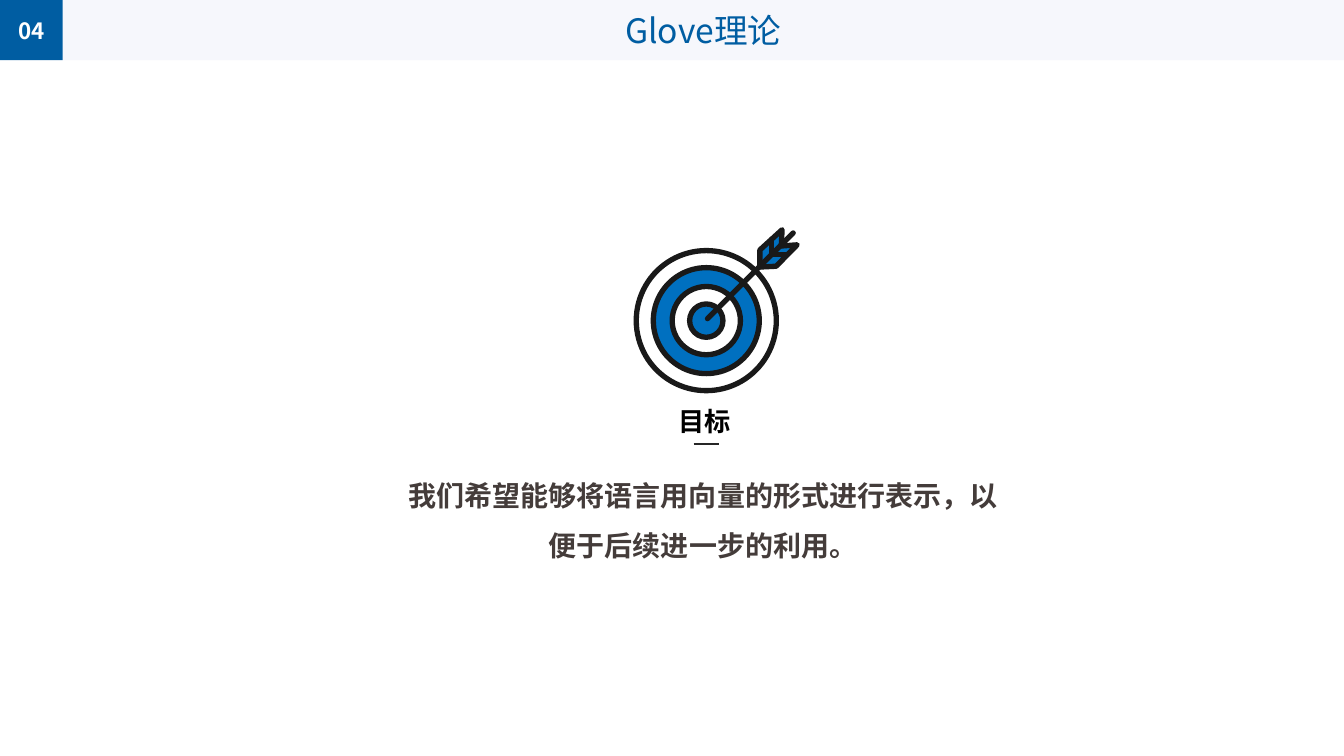
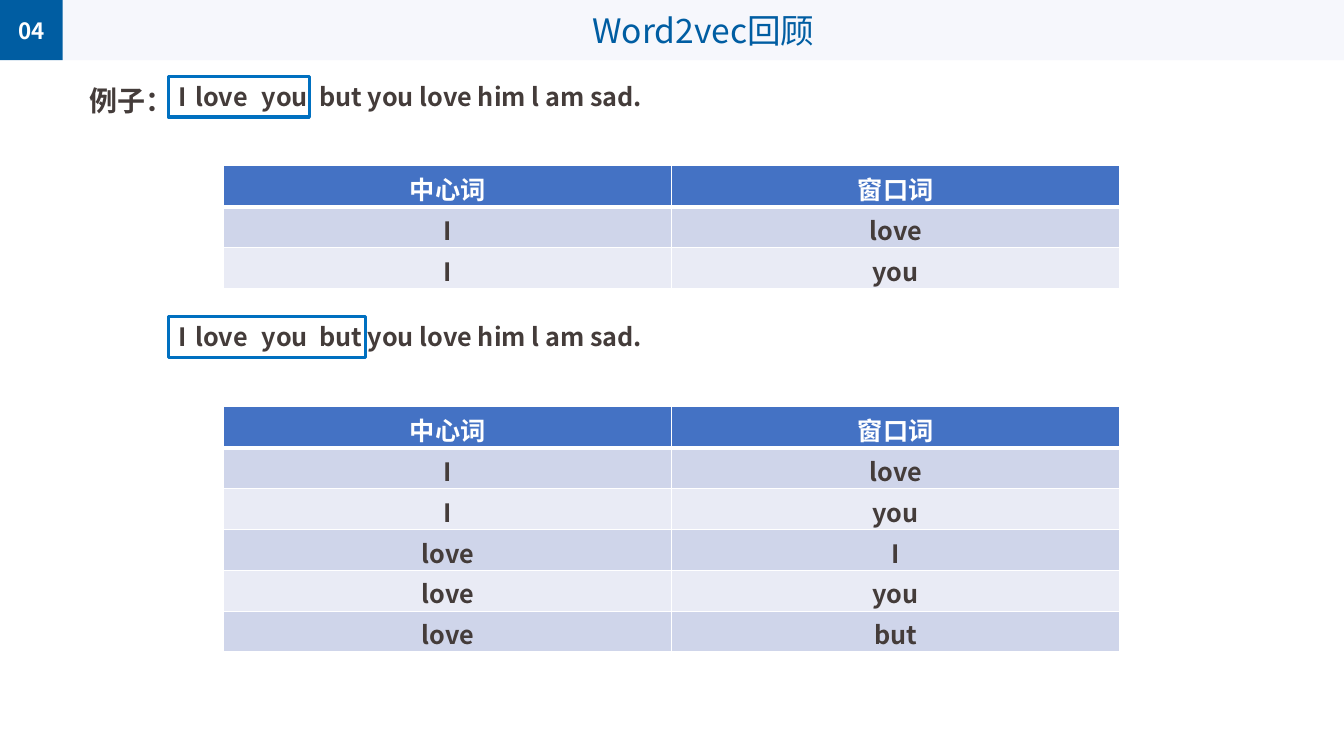
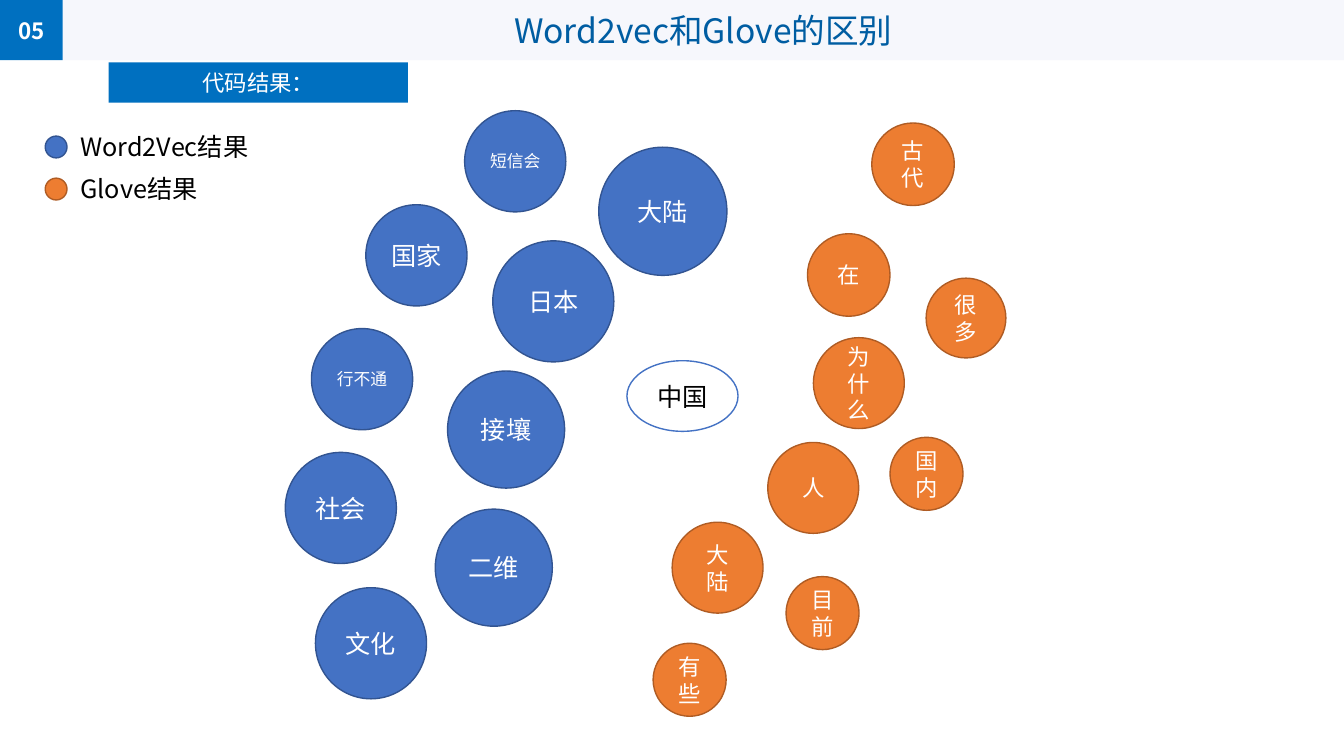
"""Build three slides on GloVe and Word2vec."""
from lxml.etree import SubElement
from pptx import Presentation
from pptx.dml.color import RGBColor
from pptx.enum.shapes import MSO_CONNECTOR, MSO_SHAPE
from pptx.enum.text import MSO_ANCHOR, MSO_AUTO_SIZE, PP_ALIGN
from pptx.oxml import parse_xml
from pptx.oxml.ns import nsdecls, qn
from pptx.util import Cm, Pt

FONT = "Noto Sans CJK SC"
WIDTH, HEIGHT = 33.87, 19.05
BADGE_W, BAND_H = 1.58, 1.52
WHITE, BLACK, INK, TEXT = "FFFFFF", "000000", "191919", "443C3A"
NAVY, BLUE, PALE = "005DA2", "0070C0", "F6F7FC"
BLUE_DOT, ORANGE_DOT = ("4472C4", "325491"), ("ED7D31", "AF5C24")
ROW_FILLS = ("CFD5EA", "E9EBF5")
STROKE = 3.8


def rgb(color):
    return RGBColor.from_string(color)


def set_text(tf, text, size, color, bold=False, align=PP_ALIGN.CENTER, spacing=None):
    p = tf.paragraphs[0]
    p.add_run().text = text
    p.alignment = align
    if spacing:
        p.line_spacing = spacing
    p.font.name, p.font.size, p.font.bold = FONT, Pt(size), bold
    p.font.color.rgb = rgb(color)
    SubElement(p._p.pPr.find(qn("a:defRPr")), qn("a:ea"), typeface=FONT)


def style_shape(sp, fill=None, line=None, width=1):
    sp.shadow.inherit = False
    if fill:
        sp.fill.solid()
        sp.fill.fore_color.rgb = rgb(fill)
    else:
        sp.fill.background()
    if line:
        sp.line.color.rgb = rgb(line)
        sp.line.width = Pt(width)
    else:
        sp.line.fill.background()


def add_box(shapes, kind, x, y, w, h, fill=None, line=None, width=1):
    sp = shapes.add_shape(kind, Cm(x), Cm(y), Cm(w), Cm(h))
    style_shape(sp, fill, line, width)
    tf = sp.text_frame
    tf.word_wrap = True
    tf.vertical_anchor = MSO_ANCHOR.MIDDLE
    return sp


def add_label(slide, text, x, y, w, h, size, color, **options):
    tf = slide.shapes.add_textbox(Cm(x), Cm(y), Cm(w), Cm(h)).text_frame
    tf.word_wrap = True
    tf.auto_size = MSO_AUTO_SIZE.SHAPE_TO_FIT_TEXT
    set_text(tf, text, size, color, **options)


def add_line(shapes, x1, y1, x2, y2, color, width):
    line = shapes.add_connector(MSO_CONNECTOR.STRAIGHT, Cm(x1), Cm(y1), Cm(x2), Cm(y2))
    line.line.color.rgb = rgb(color)
    line.line.width = Pt(width)
    SubElement(line.element.spPr, qn("a:effectLst"))
    return line


def round_ends(sp):
    ln = sp.element.spPr.find(qn("a:ln"))
    ln.set("cap", "rnd")
    SubElement(ln, qn("a:round"))


def add_outline(shapes, points, fill=None):
    points = [(Cm(x), Cm(y)) for x, y in points]
    builder = shapes.build_freeform(*points[0])
    builder.add_line_segments(points[1:], close=fill is not None)
    sp = builder.convert_to_shape()
    style_shape(sp, fill, INK, STROKE)
    round_ends(sp)


def add_target(slide):
    shapes = slide.shapes.add_group_shape().shapes
    cx, cy = 17.8, 8.08
    for d, fill in ((3.53, WHITE), (2.67, BLUE), (1.72, WHITE), (0.84, BLUE)):
        add_box(shapes, MSO_SHAPE.OVAL, cx - d / 2, cy - d / 2, d, d, fill, INK, STROKE)
    add_outline(shapes, [(20.09, 6.17), (19.56, 6.71), (19.15, 6.73),
                         (19.15, 6.3), (19.71, 5.79), (19.69, 6.2)], BLUE)
    round_ends(add_line(shapes, 17.83, 8.03, 19.99, 5.87, INK, STROKE))
    add_outline(shapes, [(19.44, 6.03), (19.44, 6.41), (19.82, 6.41)])


def set_borders(cell, row):
    tcPr = cell._tc.get_or_add_tcPr()
    widths = {"L": 1, "R": 1, "T": 3 if row == 1 else 1, "B": 3 if row == 0 else 1}
    for i, (side, width) in enumerate(widths.items()):
        tcPr.insert(i, parse_xml(
            f'<a:ln{side} {nsdecls("a")} w="{Pt(width)}"><a:solidFill>'
            f'<a:srgbClr val="{WHITE}"/></a:solidFill></a:ln{side}>'))


def add_word_table(slide, y, pairs):
    rows = [("中心词", "窗口词"), *pairs]
    row_h = 1.03
    table = slide.shapes.add_table(len(rows), 2, Cm(5.64), Cm(y), Cm(22.58),
                                   Cm(row_h * len(rows))).table
    for i, words in enumerate(rows):
        table.rows[i].height = Cm(row_h)
        for j, word in enumerate(words):
            cell = table.cell(i, j)
            cell.margin_top, cell.margin_bottom = Cm(0.11), 0
            cell.fill.solid()
            cell.fill.fore_color.rgb = rgb(ROW_FILLS[(i - 1) % 2] if i else BLUE_DOT[0])
            set_text(cell.text_frame, word, 18, TEXT if i else WHITE, bold=True)
            set_borders(cell, i)


def add_sentence(slide, y, window_w):
    words = (("I", 4.24, 0.64), ("love", 4.67, 1.86), ("you", 6.35, 1.78),
             ("but you love him l am sad.", 7.8, 16.94))
    for word, x, w in words:
        add_label(slide, word, x, y, w, 1.02, 18, TEXT, bold=True, align=PP_ALIGN.LEFT)
    add_box(slide.shapes, MSO_SHAPE.RECTANGLE, 4.24, y, window_w, 1.02, None, BLUE, 2.25)


def add_bubbles(slide, bubbles, colors):
    for word, x, y, d, size in bubbles:
        sp = add_box(slide.shapes, MSO_SHAPE.OVAL, x, y, d, d, *colors)
        set_text(sp.text_frame, word, size, WHITE)


def add_legend(slide, entries):
    for i, (text, colors) in enumerate(entries):
        y = 3.18 + 1.06 * i
        add_box(slide.shapes, MSO_SHAPE.OVAL, 1.14, y + 0.25, 0.55, 0.55, *colors)
        add_label(slide, text, 1.78, y, 5.41, 1.02, 18, BLACK, align=PP_ALIGN.LEFT)


def add_slide(prs, number, title, badge=NAVY):
    slide = prs.slides.add_slide(prs.slide_layouts[6])
    band = add_box(slide.shapes, MSO_SHAPE.RECTANGLE, BADGE_W, 0, WIDTH - BADGE_W, BAND_H, PALE)
    set_text(band.text_frame, title, 24, NAVY)
    sp = add_box(slide.shapes, MSO_SHAPE.RECTANGLE, 0, 0, BADGE_W, BAND_H, badge)
    set_text(sp.text_frame, number, 16, WHITE, bold=True)
    return slide


def build_goal(prs):
    slide = add_slide(prs, "04", "Glove理论")
    add_label(slide, "我们希望能够将语言用向量的形式进行表示，以便于后续进一步的利用。",
              9.78, 11.51, 15.88, 2.67, 20, TEXT, bold=True, spacing=1.5)
    add_label(slide, "目标", 13.11, 10.08, 9.3, 1.07, 18.7, BLACK, bold=True)
    add_line(slide.shapes, 17.48, 11.2, 18.11, 11.2, "262626", 1.5)
    add_target(slide)


def build_review(prs):
    slide = add_slide(prs, "04", "Word2vec回顾")
    add_label(slide, "例子：", 2.01, 1.55, 15.88, 1.4, 20, TEXT, bold=True,
              align=PP_ALIGN.LEFT, spacing=1.5)
    first = [("I", "love"), ("I", "you")]
    second = [("love", "I"), ("love", "you"), ("love", "but")]
    add_sentence(slide, 1.93, 3.56)
    add_word_table(slide, 4.18, first)
    add_sentence(slide, 7.98, 4.98)
    add_word_table(slide, 10.25, first + second)


def build_comparison(prs):
    slide = add_slide(prs, "05", "Word2vec和Glove的区别", BLUE)
    banner = add_box(slide.shapes, MSO_SHAPE.RECTANGLE, 2.74, 1.57, 7.54, 1.02, BLUE)
    set_text(banner.text_frame, "代码结果：", 16, WHITE)
    center = add_box(slide.shapes, MSO_SHAPE.OVAL, 15.8, 9.09, 2.8, 1.78, WHITE, BLUE_DOT[0])
    set_text(center.text_frame, "中国", 18, BLACK)
    add_bubbles(slide, [
        ("大陆", 15.09, 3.71, 3.23, 18), ("日本", 12.42, 6.07, 3.05, 18),
        ("接壤", 11.28, 9.35, 2.95, 18), ("二维", 10.97, 12.83, 2.95, 18),
        ("文化", 7.95, 14.81, 2.8, 18), ("社会", 7.19, 11.4, 2.8, 18),
        ("行不通", 7.85, 8.28, 2.55, 12), ("国家", 9.22, 5.16, 2.55, 18),
        ("短信会", 11.71, 2.79, 2.55, 12)], BLUE_DOT)
    add_bubbles(slide, [
        ("大陆", 16.94, 13.16, 2.29, 16), ("人", 19.35, 11.15, 2.29, 16),
        ("为什么", 20.5, 8.51, 2.29, 16), ("在", 20.35, 5.89, 2.08, 16),
        ("古代", 21.97, 3.1, 2.08, 16), ("很多", 23.34, 7.01, 2.01, 16),
        ("国内", 22.43, 11.02, 1.84, 16), ("目前", 19.81, 14.53, 1.84, 16),
        ("有些", 16.46, 16.21, 1.84, 16)], ORANGE_DOT)
    add_legend(slide, [("Word2Vec结果", BLUE_DOT), ("Glove结果", ORANGE_DOT)])


def main():
    prs = Presentation()
    prs.slide_width, prs.slide_height = Cm(WIDTH), Cm(HEIGHT)
    build_goal(prs)
    build_review(prs)
    build_comparison(prs)
    prs.save("out.pptx")


if __name__ == "__main__":
    main()
